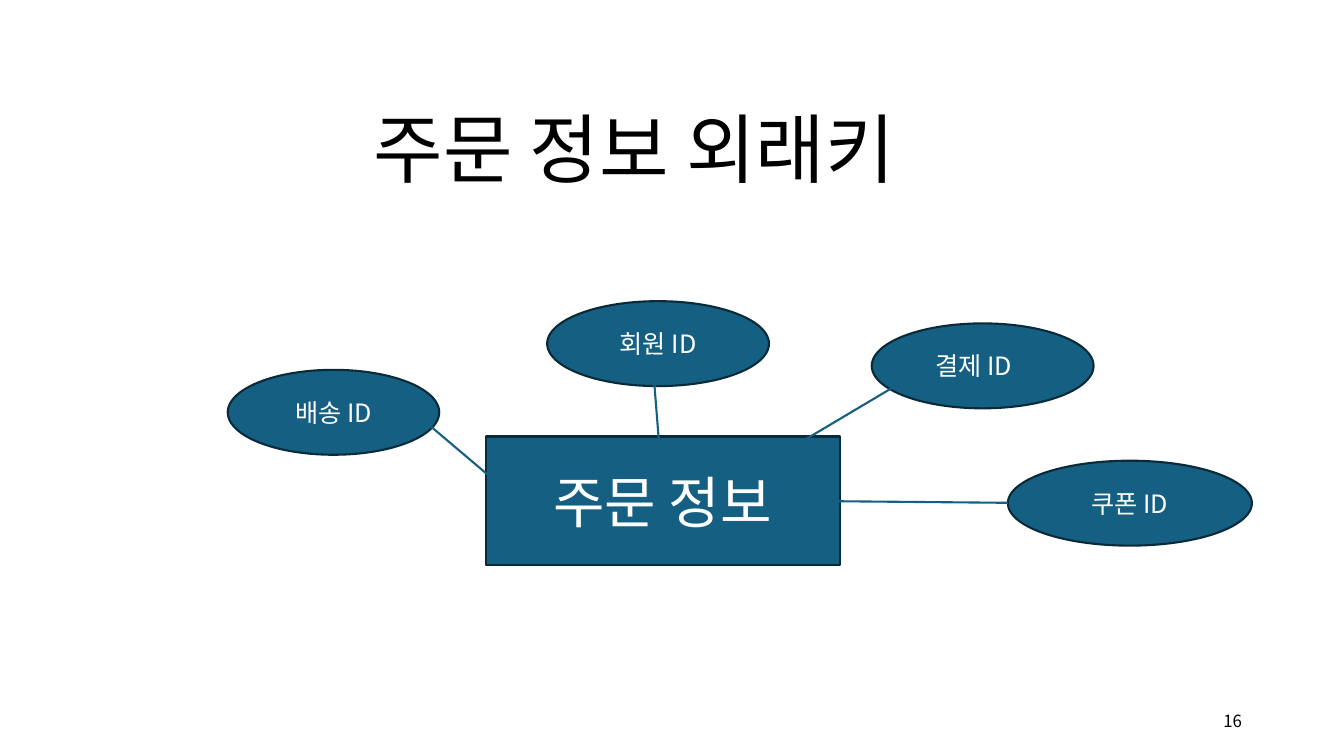
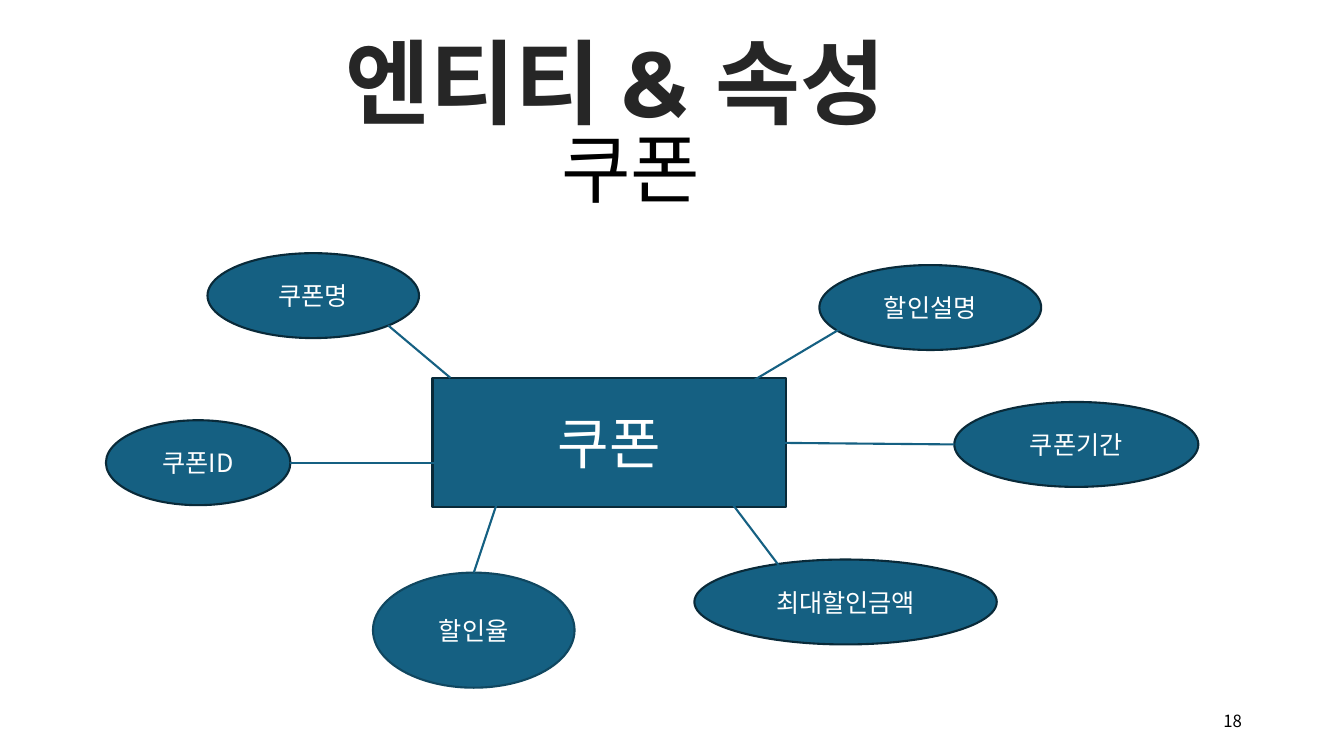
from lxml import etree
from pptx import Presentation
from pptx.dml.color import RGBColor
from pptx.enum.shapes import MSO_CONNECTOR, MSO_SHAPE
from pptx.enum.text import MSO_ANCHOR, PP_ALIGN
from pptx.oxml.ns import qn
from pptx.util import Cm, Pt

RECT, OVAL, STRAIGHT = MSO_SHAPE.RECTANGLE, MSO_SHAPE.OVAL, MSO_CONNECTOR.STRAIGHT
TOP, MIDDLE = MSO_ANCHOR.TOP, MSO_ANCHOR.MIDDLE
LEFT, CENTER, RIGHT = PP_ALIGN.LEFT, PP_ALIGN.CENTER, PP_ALIGN.RIGHT

TEAL = RGBColor(0x15, 0x60, 0x82)
DARK_TEAL = RGBColor(0x09, 0x2A, 0x39)
MID_TEAL = RGBColor(0x10, 0x47, 0x60)
WHITE = RGBColor(0xFF, 0xFF, 0xFF)
BLACK = RGBColor(0x00, 0x00, 0x00)
CHARCOAL = RGBColor(0x26, 0x26, 0x26)

KOREAN_FONT = "Noto Sans CJK KR"
HEADING_FONT = "Montserrat"
LINE_WIDTH = Pt(1.5)
ENTITY_W, ENTITY_H = 8.92, 3.25
ATTRIBUTE_H = 2.14

# Attributes: text, oval (left, top, width, height), line start, line end
ORDER_KEYS = [
    ("배송 ID", (5.74, 9.32, 5.33, ATTRIBUTE_H), (10.85, 10.74), (12.42, 12.07)),
    ("회원 ID", (13.79, 7.59, 5.59, ATTRIBUTE_H), (16.43, 8.92), (16.64, 11.56)),
    ("결제 ID", (21.97, 8.15, 5.59, ATTRIBUTE_H), (22.81, 9.58), (18.62, 12.07)),
    ("쿠폰 ID", (25.4, 11.61, 6.15, ATTRIBUTE_H), (25.4, 12.67), (19.96, 12.62)),
]
COUPON_ATTRIBUTES = [
    ("쿠폰ID", (2.67, 10.59, 4.65, ATTRIBUTE_H), (7.32, 11.66), (12.47, 11.66)),
    ("쿠폰명", (5.23, 6.38, 5.33, ATTRIBUTE_H), (9.78, 8.2), (11.35, 9.52)),
    ("할인설명", (20.65, 6.68, 5.59, ATTRIBUTE_H), (21.49, 8.1), (17.3, 10.59)),
    ("쿠폰기간", (24.05, 10.13, 6.15, ATTRIBUTE_H), (24.05, 11.2), (18.64, 11.15)),
    ("최대할인금액", (17.5, 14.1, 7.62, ATTRIBUTE_H), (19.84, 14.53), (17.02, 10.8)),
    ("할인율", (9.4, 14.43, 5.08, 2.9), (11.94, 14.43), (12.67, 12.24)),
]


def set_text(sp, text, size, color, align=CENTER, anchor=MIDDLE,
             font=KOREAN_FONT, bold=False, wrap=True):
    tf = sp.text_frame
    tf.text = text
    tf.word_wrap = wrap
    tf.vertical_anchor = anchor
    p = tf.paragraphs[0]
    p.alignment = align
    p.font.size = Pt(size)
    p.font.bold = bold
    p.font.color.rgb = color
    p.font.name = font
    default_font = p._p.pPr.find(qn("a:defRPr"))
    etree.SubElement(default_font, qn("a:ea"), typeface=KOREAN_FONT)


def add_text(slide, box, text, size, color, **style):
    sp = slide.shapes.add_textbox(*map(Cm, box))
    set_text(sp, text, size, color, **style)


def set_title(slide, box, text, size, color, **style):
    title = slide.shapes.title
    title.left, title.top, title.width, title.height = map(Cm, box)
    set_text(title, text, size, color, anchor=TOP, **style)


def add_node(slide, kind, box, text, size, outline=DARK_TEAL):
    sp = slide.shapes.add_shape(kind, *map(Cm, box))
    sp.shadow.inherit = False
    sp.fill.solid()
    sp.fill.fore_color.rgb = TEAL
    sp.line.color.rgb = outline
    sp.line.width = LINE_WIDTH
    set_text(sp, text, size, WHITE)
    return sp


def add_line(slide, start, end):
    line = slide.shapes.add_connector(STRAIGHT, *map(Cm, start + end))
    line.line.color.rgb = TEAL
    line.line.width = LINE_WIDTH
    etree.SubElement(line._element.spPr, qn("a:effectLst"))


def add_diagram(slide, entity, left, top, attributes):
    """Draw an entity box, its attribute ovals and the lines joining them."""
    add_node(slide, RECT, (left, top, ENTITY_W, ENTITY_H), entity, 40)
    ovals = {}
    for text, box, start, end in attributes:
        outline = DARK_TEAL if box[3] == ATTRIBUTE_H else MID_TEAL
        ovals[text] = add_node(slide, OVAL, box, text, 18, outline)
        add_line(slide, start, end)
    return ovals


def add_slide(prs, number):
    slide = prs.slides.add_slide(prs.slide_layouts[5])
    add_text(slide, (23.93, 17.65, 7.62, 1.02), number, 12, BLACK, align=RIGHT)
    return slide


def add_order_slide(prs):
    slide = add_slide(prs, "16")
    set_title(slide, (9.17, 2.44, 15.52, 2.57), "주문 정보 외래키", 54, BLACK, align=LEFT)
    ovals = add_diagram(slide, "주문 정보", 12.24, 11, ORDER_KEYS)
    ovals["결제 ID"].text_frame.margin_right = Cm(0.7)


def add_coupon_slide(prs):
    slide = add_slide(prs, "18")
    set_title(slide, (7.37, 0.5, 16.28, 3.4), "엔티티 & 속성", 66, CHARCOAL,
              font=HEADING_FONT, bold=True, wrap=False)
    add_text(slide, (13.89, 2.95, 9.04, 2.57), "쿠폰", 54, BLACK, align=LEFT, anchor=TOP)
    add_diagram(slide, "쿠폰", 10.9, 9.52, COUPON_ATTRIBUTES)


def main():
    prs = Presentation()
    prs.slide_width, prs.slide_height = Cm(33.87), Cm(19.05)
    add_order_slide(prs)
    add_coupon_slide(prs)
    prs.save("out.pptx")


if __name__ == "__main__":
    main()
